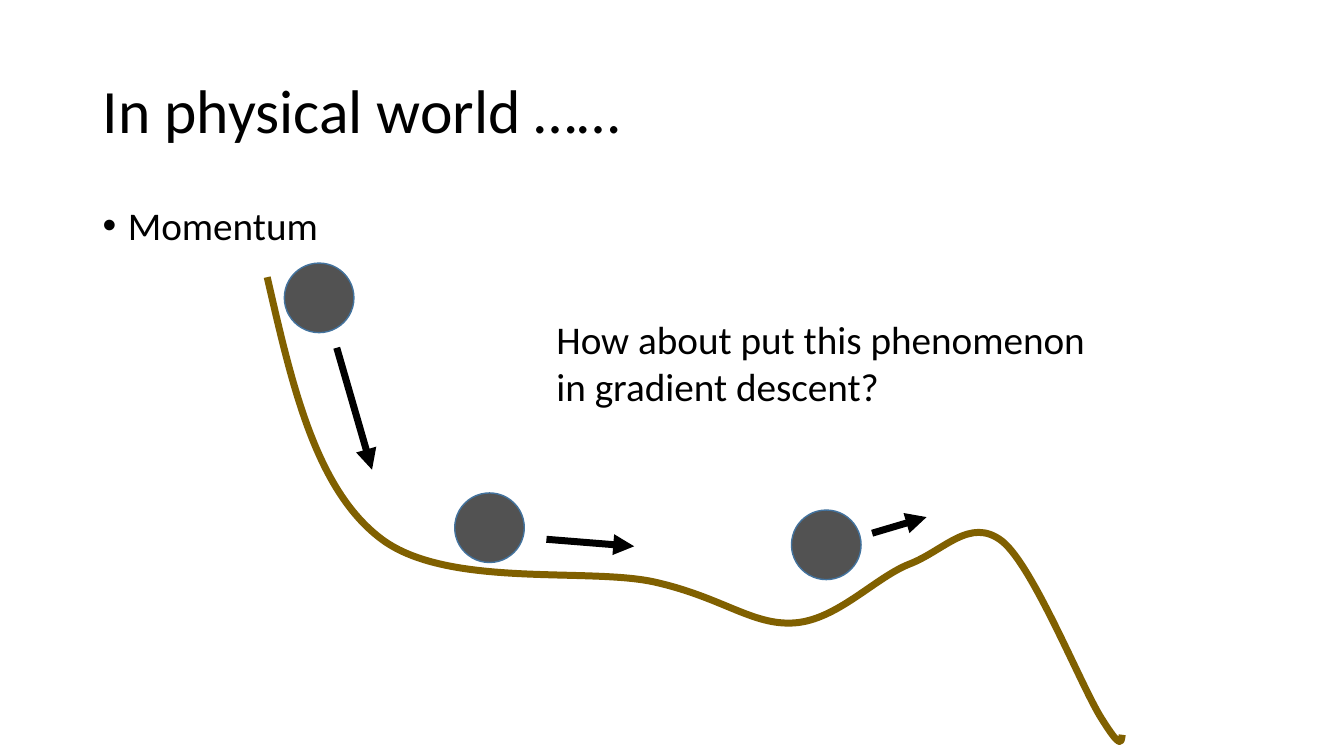
"""Build the slide on momentum: a ball rolling down a hilly slope."""
from lxml.etree import SubElement
from pptx import Presentation
from pptx.dml.color import RGBColor as RGB
from pptx.enum.shapes import MSO_CONNECTOR as LINK, MSO_SHAPE as SHAPE
from pptx.enum.text import MSO_ANCHOR as ANCHOR, PP_ALIGN as ALIGN
from pptx.oxml.ns import qn
from pptx.util import Pt

PX = 9144
THEME = {
    "font": "Calibri",
    "title": Pt(44),
    "body": Pt(28),
    "ink": RGB.from_string("000000"),
    "slope": RGB.from_string("806000"),
    "ball": RGB.from_string("525252"),
    "rim": RGB.from_string("43739E"),
    "stroke": Pt(5),
    "rim_stroke": Pt(1),
}


def write(holder, box, text, size, anchor, paragraph_format):
    """Place a text holder and fill it with one formatted paragraph."""
    holder.left, holder.top, holder.width, holder.height = [n * PX for n in box]
    frame = holder.text_frame
    frame.word_wrap = True
    frame.vertical_anchor = anchor
    frame.text = text
    paragraph = frame.paragraphs[0]
    for name, value in paragraph_format.items():
        setattr(paragraph, name, value)
    font = paragraph.runs[0].font
    for name, value in {"name": THEME["font"], "size": size}.items():
        setattr(font, name, value)
    font.color.rgb = THEME["ink"]
    return paragraph


def stroke(line, color, width):
    """Give a line its colour and width."""
    line.color.rgb = color
    line.width = width


deck = Presentation()
deck.slide_width, deck.slide_height = 1333 * PX, 750 * PX
slide = deck.slides.add_slide(deck.slide_layouts[5])
shapes = slide.shapes

write(shapes.title, (92, 40, 1150, 145), "In physical world ……", THEME["title"],
      ANCHOR.MIDDLE, {"alignment": ALIGN.LEFT, "line_spacing": 0.9})

topic = write(shapes.add_textbox(0, 0, 0, 0), (92, 200, 1150, 476), "Momentum",
              THEME["body"], ANCHOR.TOP, {"line_spacing": 0.9, "space_before": Pt(10)})
indent = topic._p.get_or_add_pPr()
indent.set("marL", str(25 * PX))
indent.set("indent", str(-25 * PX))
SubElement(indent, qn("a:buFont"), typeface="Arial")
SubElement(indent, qn("a:buChar"), char="•")

SLOPE_HEIGHT = 460
slope_bends = [
    (289, 379), (312, 483), (376, 533),
    (440, 584), (579, 563), (647, 577),
    (716, 592), (746, 621), (788, 618),
    (830, 615), (867, 574), (901, 560),
    (936, 547), (962, 512), (994, 537),
    (1025, 562), (1072, 680), (1092, 712),
    (1112, 744), (1112, 737), (1113, 729),
]
outline = shapes.build_freeform(265, 275, scale=PX)
outline.add_line_segments(slope_bends, close=False)
slope = outline.convert_to_shape()
slope.height = SLOPE_HEIGHT * PX
course = next(slope._element.iter(qn("a:path")))
course.set("h", str(SLOPE_HEIGHT))
for number, leg in enumerate(course.findall(qn("a:lnTo"))):
    if number % 3 == 0:
        bend = SubElement(course, qn("a:cubicBezTo"))
    bend.append(leg[0])
    course.remove(leg)
slope.shadow.inherit = False
slope.fill.background()
stroke(slope.line, THEME["slope"], THEME["stroke"])

BALL = 69
for left, top in ((282, 261), (451, 489), (785, 506)):
    ball = shapes.add_shape(SHAPE.OVAL, left * PX, top * PX, BALL * PX, BALL * PX)
    ball.shadow.inherit = False
    ball.fill.solid()
    ball.fill.fore_color.rgb = THEME["ball"]
    stroke(ball.line, THEME["rim"], THEME["rim_stroke"])

for motion in ((334, 345, 369, 466), (542, 535, 629, 542), (865, 529, 919, 513)):
    arrow = shapes.add_connector(LINK.STRAIGHT, *[n * PX for n in motion])
    stroke(arrow.line, THEME["ink"], THEME["stroke"])
    SubElement(arrow.line._get_or_add_ln(), qn("a:tailEnd"), type="triangle")
    SubElement(arrow._element.spPr, qn("a:effectLst"))

write(shapes.add_textbox(0, 0, 0, 0), (542, 308, 556, 104),
      "How about put this phenomenon in gradient descent?",
      THEME["body"], ANCHOR.TOP, {"alignment": ALIGN.LEFT})

deck.save("out.pptx")
